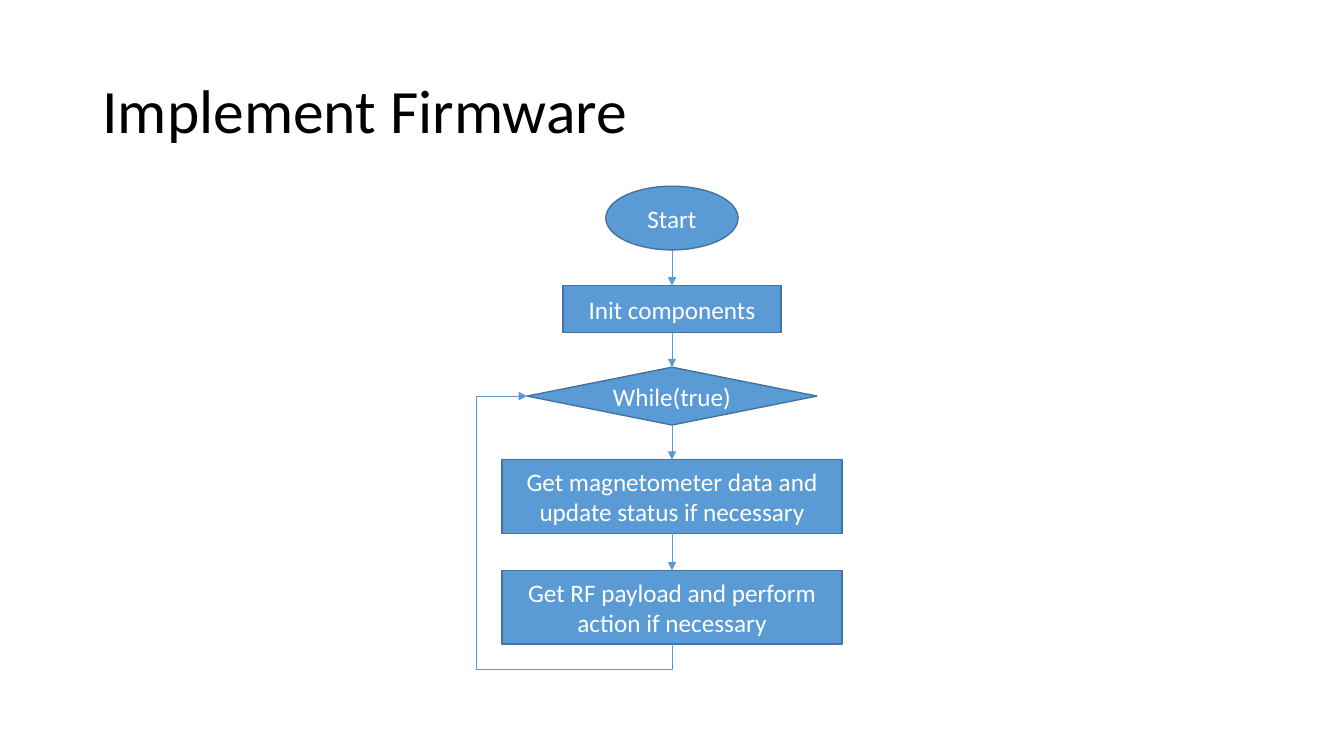
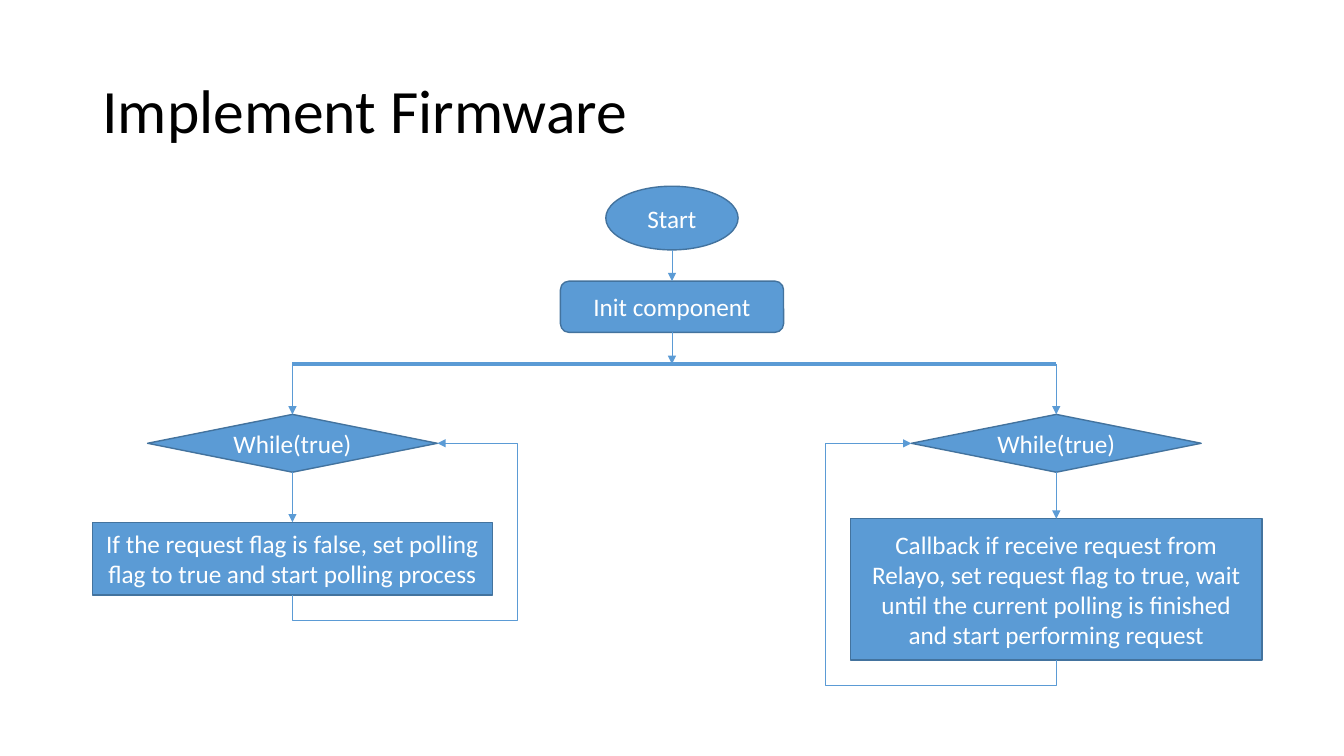
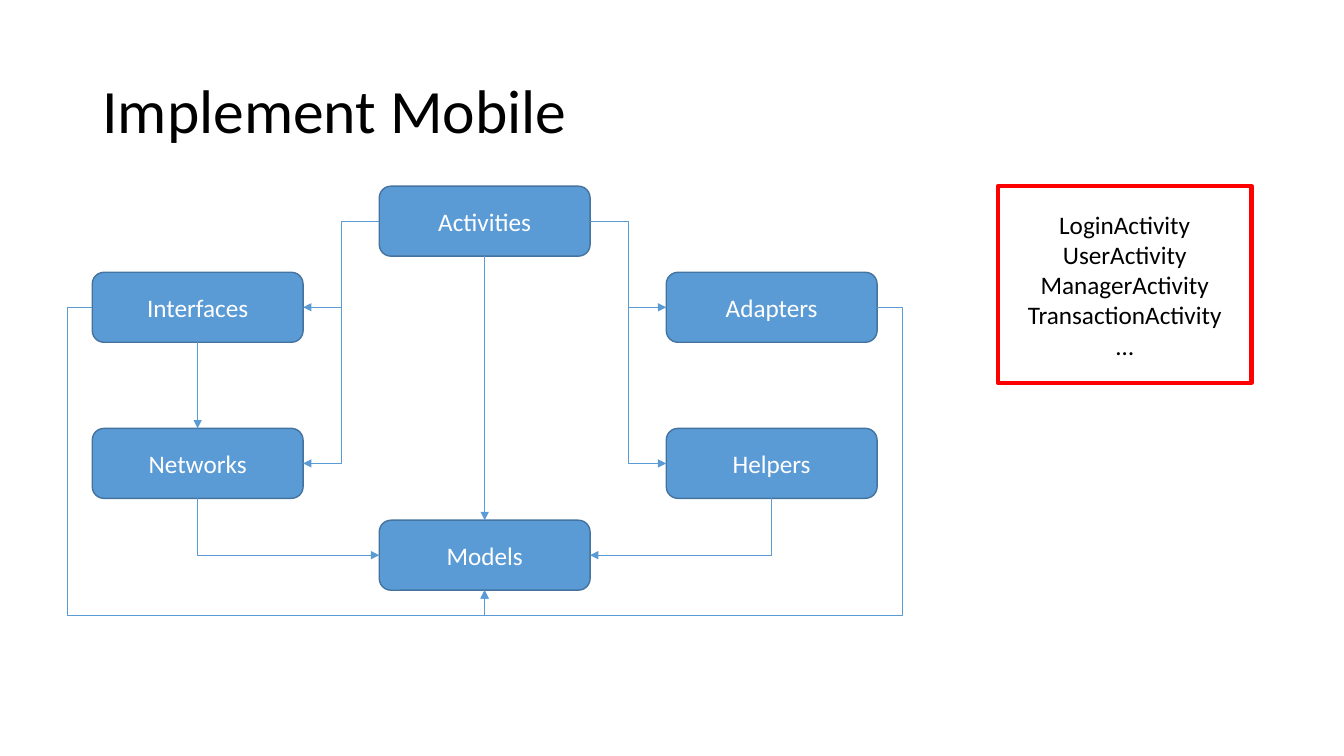
from lxml.etree import SubElement
from pptx import Presentation
from pptx.dml.color import RGBColor
from pptx.enum.shapes import MSO_CONNECTOR, MSO_SHAPE
from pptx.enum.text import MSO_ANCHOR, MSO_AUTO_SIZE, PP_ALIGN
from pptx.oxml.ns import qn
from pptx.util import Pt

FONT = "Calibri"
BLUE, BORDER, WHITE, BLACK, RED = "5B9BD5", "43739E", "FFFFFF", "000000", "FF0000"
TOP, LEFT, BOTTOM, RIGHT = range(4)
MIDDLE_X = 480
FIRST_TOP = 133
START_SIZE = (94.5, 45.5)
LOOP_SIZE = (207, 41.3)
MODULE_SIZE = (150.6, 50)
DETOUR = Pt(18)


def rgb(value):
    """Turn a hex string into a colour."""
    return RGBColor.from_string(value)


def add_run(paragraph, text, size, color):
    """Add one formatted run to a paragraph."""
    run = paragraph.add_run()
    run.text = text
    run.font.name = FONT
    run.font.size = Pt(size)
    run.font.color.rgb = rgb(color)


def add_titled_slide(prs, text):
    """Add a title-only slide with the shared title style."""
    slide = prs.slides.add_slide(prs.slide_layouts[5])
    title = slide.shapes.title
    title.left, title.top, title.width, title.height = Pt(66), Pt(28.8), Pt(828), Pt(104.4)
    frame = title.text_frame
    frame.auto_size = MSO_AUTO_SIZE.NONE
    frame.word_wrap = True
    frame.vertical_anchor = MSO_ANCHOR.MIDDLE
    heading = frame.paragraphs[0]
    heading.alignment = PP_ALIGN.LEFT
    heading.line_spacing = 0.9
    add_run(heading, text, 44, BLACK)
    return slide


def add_node(slide, kind, center_x, top, size, lines, fill=BLUE, border=BORDER, weight=1, color=WHITE):
    """Add a flowchart node centred on center_x with one paragraph per line."""
    width, height = size
    node = slide.shapes.add_shape(kind, Pt(center_x - width / 2), Pt(top), Pt(width), Pt(height))
    node.shadow.inherit = False
    if fill:
        node.fill.solid()
        node.fill.fore_color.rgb = rgb(fill)
    else:
        node.fill.background()
    node.line.color.rgb = rgb(border)
    node.line.width = Pt(weight)
    frame = node.text_frame
    frame.word_wrap = True
    frame.vertical_anchor = MSO_ANCHOR.MIDDLE
    for index, line in enumerate(lines):
        paragraph = frame.add_paragraph() if index else frame.paragraphs[0]
        paragraph.alignment = PP_ALIGN.CENTER
        add_run(paragraph, line, 18, color)
    return node


def side_point(node, side):
    """Return the middle of one side of a node."""
    middle_x, middle_y = node.left + node.width // 2, node.top + node.height // 2
    return {
        TOP: (middle_x, node.top),
        LEFT: (node.left, middle_y),
        BOTTOM: (middle_x, node.top + node.height),
        RIGHT: (node.left + node.width, middle_y),
    }[side]


def add_line(slide, start, end, kind=MSO_CONNECTOR.STRAIGHT, weight=0.5, arrow=True):
    """Add a connector between two points, with an arrowhead at its end."""
    connector = slide.shapes.add_connector(kind, *start, *end)
    connector.line.color.rgb = rgb(BLUE)
    connector.line.width = Pt(weight)
    properties = connector._element.spPr
    if arrow:
        SubElement(properties.find(qn("a:ln")), qn("a:tailEnd"), type="triangle")
    SubElement(properties, qn("a:effectLst"))
    return connector


def link_down(slide, upper, lower):
    """Join the bottom of one node to the top of the next."""
    connector = add_line(slide, side_point(upper, BOTTOM), side_point(lower, TOP))
    if upper.auto_shape_type != MSO_SHAPE.OVAL:
        connector.begin_connect(upper, BOTTOM)
    connector.end_connect(lower, TOP)


def link_bent(slide, source, source_side, target, target_side, *turns):
    """Join two nodes by an elbow that turns at the given coordinates, first axis first."""
    start, end = side_point(source, source_side), side_point(target, target_side)
    connector = add_line(slide, start, end, MSO_CONNECTOR.ELBOW)
    connector.begin_connect(source, source_side)
    connector.end_connect(target, target_side)

    vertical = source_side in (TOP, BOTTOM)
    axes = (1, 0) if vertical else (0, 1)
    spans = [end[axis] - start[axis] for axis in axes]
    flips = (spans[0] < 0, (spans[1] < 0) != vertical)
    width, height = map(abs, spans)
    connector.width, connector.height = width, height
    connector.left = (start[0] + end[0] - width) // 2
    connector.top = (start[1] + end[1] - height) // 2
    transform = connector._element.spPr.find(qn("a:xfrm"))
    transform.set("rot", "5400000" if vertical else "0")
    for name, flipped in zip(("flipH", "flipV"), flips):
        transform.set(name, str(int(flipped)))

    geometry = connector._element.spPr.find(qn("a:prstGeom"))
    geometry.set("prst", f"bentConnector{len(turns) + 2}")
    guides = geometry.find(qn("a:avLst"))
    for number, (turn, axis, span) in enumerate(zip(turns, axes, spans), 1):
        share = round((turn - start[axis]) / span * 100000)
        SubElement(guides, qn("a:gd"), name=f"adj{number}", fmla=f"val {share}")


def link_back(slide, last, loop, side):
    """Lead from below the last step around its side back to the loop."""
    outward = -DETOUR if side == LEFT else DETOUR
    below = side_point(last, BOTTOM)[1] + DETOUR
    link_bent(slide, last, BOTTOM, loop, side, below, side_point(last, side)[0] + outward)


def build_single_loop(prs):
    """Build the firmware flow with one loop."""
    slide = add_titled_slide(prs, "Implement Firmware")
    step_size = (242.8, 52.6)
    steps = [
        (MSO_SHAPE.OVAL, FIRST_TOP, START_SIZE, "Start"),
        (MSO_SHAPE.RECTANGLE, 204, (156, 33.6), "Init components"),
        (MSO_SHAPE.DIAMOND, 262.3, LOOP_SIZE, "While(true)"),
        (MSO_SHAPE.RECTANGLE, 328.4, step_size, "Get magnetometer data and update status if necessary"),
        (MSO_SHAPE.RECTANGLE, 407.4, step_size, "Get RF payload and perform action if necessary"),
    ]
    nodes = [add_node(slide, kind, MIDDLE_X, top, size, [text]) for kind, top, size, text in steps]
    for upper, lower in zip(nodes, nodes[1:]):
        link_down(slide, upper, lower)
    link_back(slide, nodes[-1], nodes[2], LEFT)


def build_parallel_loops(prs):
    """Build the firmware flow that forks into two loops."""
    slide = add_titled_slide(prs, "Implement Firmware")
    start = add_node(slide, MSO_SHAPE.OVAL, MIDDLE_X, FIRST_TOP, START_SIZE, ["Start"])
    init = add_node(slide, MSO_SHAPE.ROUNDED_RECTANGLE, MIDDLE_X, 200.8, (159.4, 36.6), ["Init component"])
    link_down(slide, start, init)
    fork_y = Pt(260)
    branches = [
        (208.9, 373.1, (285.8, 52), RIGHT,
         "If the request flag is false, set polling flag to true and start polling process"),
        (754.5, 370.6, (294, 100.8), LEFT,
         "Callback if receive request from Relayo, set request flag to true, wait until the "
         "current polling is finished and start performing request"),
    ]
    fork_left, fork_right = (Pt(branch[0]) for branch in branches)
    add_line(slide, (fork_left, fork_y), (fork_right, fork_y), weight=3, arrow=False)
    add_line(slide, side_point(init, BOTTOM), (Pt(MIDDLE_X), fork_y)).begin_connect(init, BOTTOM)
    for center_x, top, size, return_side, text in branches:
        loop = add_node(slide, MSO_SHAPE.DIAMOND, center_x, 296, LOOP_SIZE, ["While(true)"])
        task = add_node(slide, MSO_SHAPE.RECTANGLE, center_x, top, size, [text])
        add_line(slide, (Pt(center_x), fork_y), side_point(loop, TOP)).end_connect(loop, TOP)
        link_down(slide, loop, task)
        link_back(slide, task, loop, return_side)


def build_mobile(prs):
    """Build the module diagram of the mobile app."""
    slide = add_titled_slide(prs, "Implement Mobile")
    left_x, center_x, right_x = (141.2 + 205 * column for column in range(3))
    upper_top, lower_top = 194.5, 306
    places = {
        "Activities": (center_x, FIRST_TOP),
        "Adapters": (right_x, upper_top),
        "Interfaces": (left_x, upper_top),
        "Networks": (left_x, lower_top),
        "Models": (center_x, 371.6),
        "Helpers": (right_x, lower_top),
    }
    modules = {
        name: add_node(slide, MSO_SHAPE.ROUNDED_RECTANGLE, x, top, MODULE_SIZE, [name])
        for name, (x, top) in places.items()
    }
    activities, models = modules["Activities"], modules["Models"]
    link_down(slide, activities, models)
    link_down(slide, modules["Interfaces"], modules["Networks"])
    below_models = side_point(models, BOTTOM)[1] + DETOUR
    wings = [
        ("Interfaces", "Networks", LEFT, RIGHT, -DETOUR),
        ("Adapters", "Helpers", RIGHT, LEFT, DETOUR),
    ]
    for upper_name, lower_name, outer, inner, outward in wings:
        upper, lower = modules[upper_name], modules[lower_name]
        trunk_x = (side_point(activities, outer)[0] + side_point(upper, inner)[0]) // 2
        for module in (upper, lower):
            link_bent(slide, activities, outer, module, inner, trunk_x)
        link_bent(slide, lower, BOTTOM, models, outer)
        link_bent(slide, upper, outer, models, BOTTOM,
                  side_point(upper, outer)[0] + outward, below_models)
    add_node(slide, MSO_SHAPE.RECTANGLE, 803.4, FIRST_TOP, (181.2, 140.4),
             ["LoginActivity", "UserActivity", "ManagerActivity", "TransactionActivity", "…"],
             fill=None, border=RED, weight=3, color=BLACK)


def main():
    """Build and save the presentation."""
    prs = Presentation()
    prs.slide_width, prs.slide_height = Pt(960), Pt(540)
    build_single_loop(prs)
    build_parallel_loops(prs)
    build_mobile(prs)
    prs.save("out.pptx")


if __name__ == "__main__":
    main()
